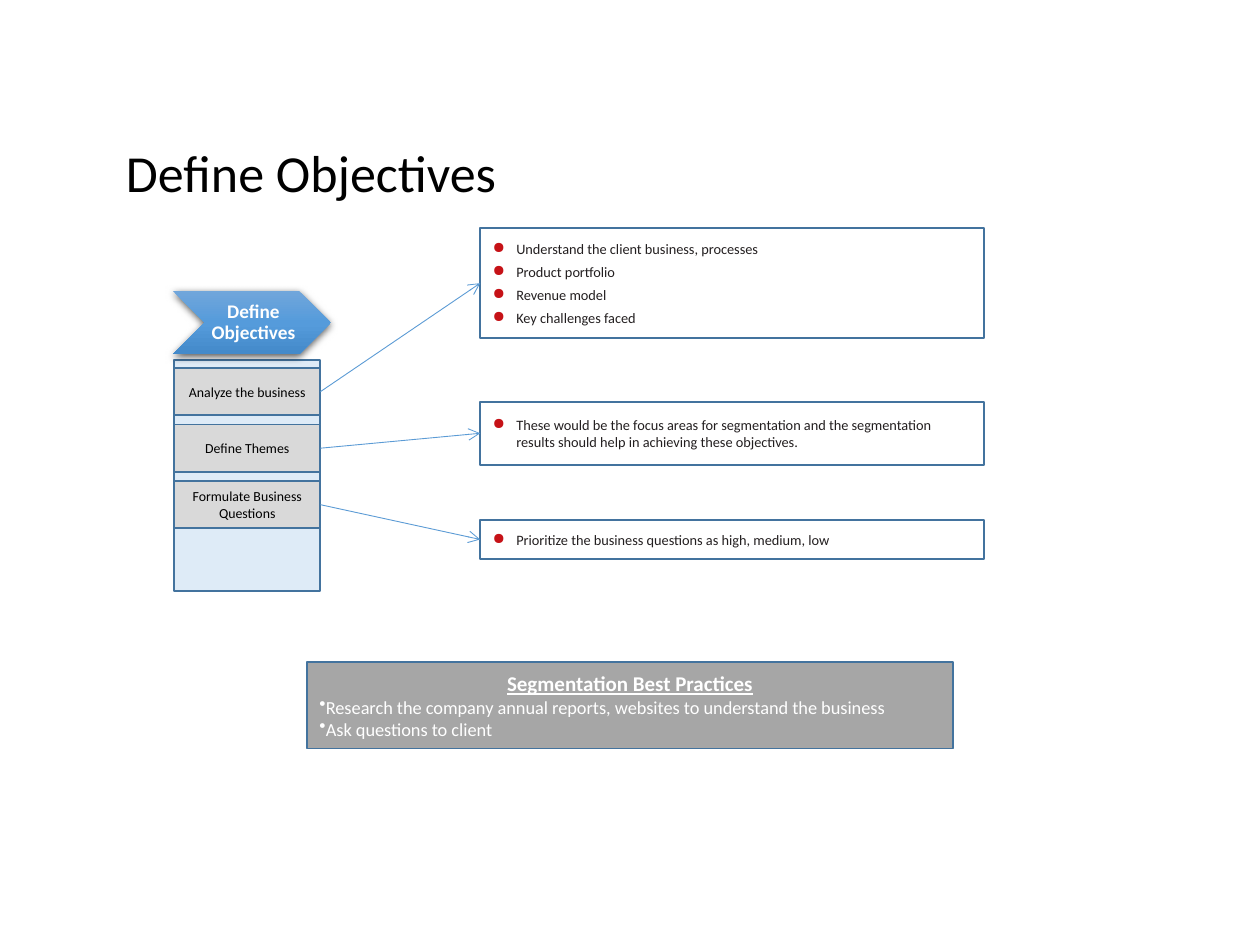
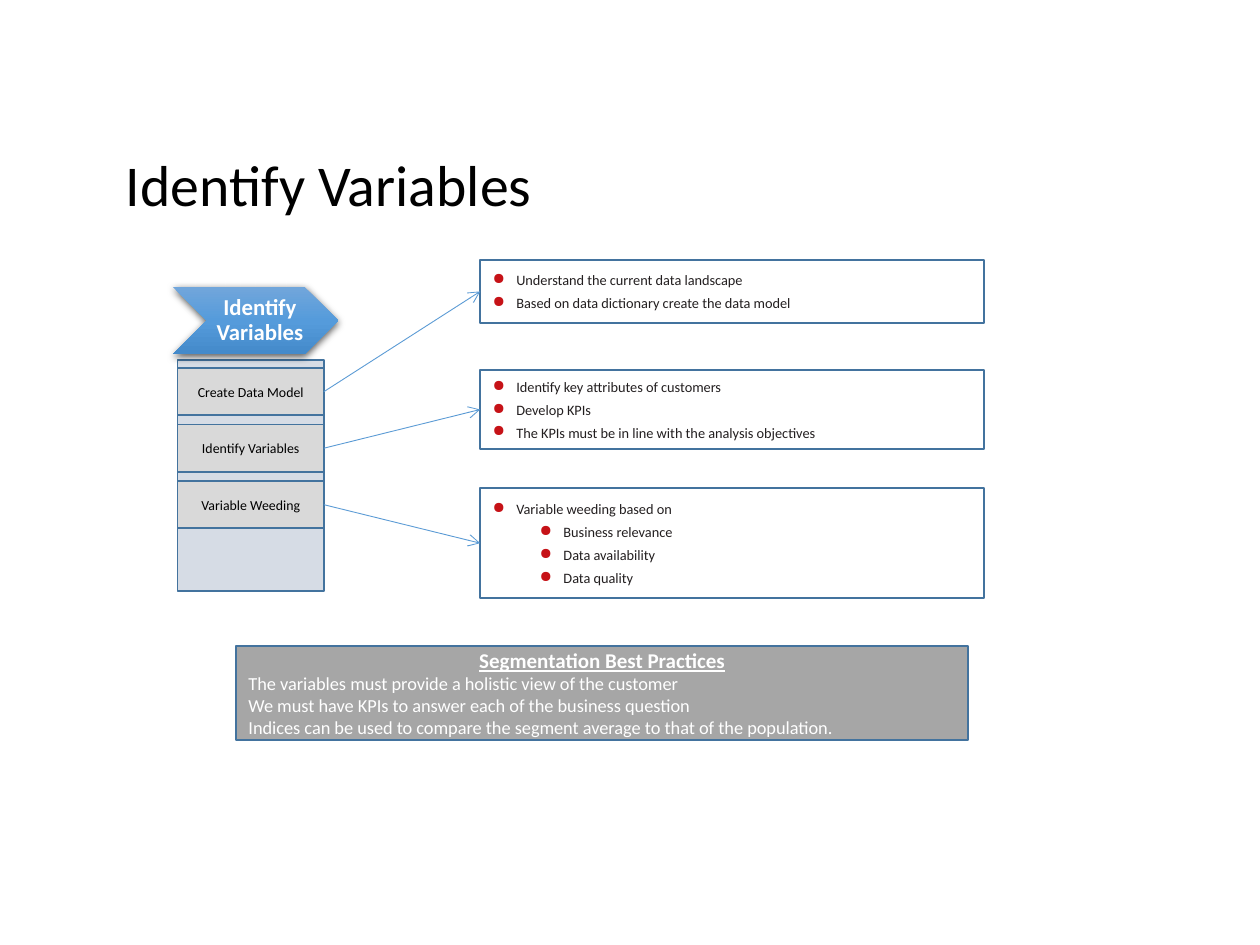
from lxml.etree import SubElement as Sub
from pptx import Presentation
from pptx.dml.color import RGBColor as Rgb
from pptx.enum.shapes import MSO_CONNECTOR as Link, MSO_SHAPE as Kind
from pptx.enum.text import MSO_ANCHOR as Anchor, PP_ALIGN as Align
from pptx.oxml import parse_xml as to_xml
from pptx.oxml.ns import nsdecls, qn
from pptx.util import Cm, Pt

BLACK = Rgb(0x00, 0x00, 0x00)
WHITE = Rgb(0xFF, 0xFF, 0xFF)
INK = Rgb(0x23, 0x1F, 0x20)
RED = Rgb(0xC6, 0x12, 0x17)
EDGE = Rgb(0x43, 0x73, 0x9E)
BLUE = Rgb(0x5B, 0x9B, 0xD5)
PALE = Rgb(0xDE, 0xEB, 0xF7)
MIST = Rgb(0xD6, 0xDC, 0xE5)
LIGHT = Rgb(0xD9, 0xD9, 0xD9)
GREY = Rgb(0xA6, 0xA6, 0xA6)
SHADES = [(0, Rgb(0x71, 0xA6, 0xDB)), (50, Rgb(0x55, 0x9B, 0xDB)),
          (100, Rgb(0x44, 0x8A, 0xCA))]

stops = "".join(f'<a:gs pos="{pos * 1000}"><a:srgbClr val="{tone}"/></a:gs>'
                for pos, tone in SHADES)
BLEND = (f'<a:gradFill {nsdecls("a")} rotWithShape="1"><a:gsLst>{stops}</a:gsLst>'
         '<a:lin ang="5400000" scaled="0"/></a:gradFill>')
SHADOW = (f'<a:effectLst {nsdecls("a")}><a:outerShdw blurRad="57150" dist="19050" '
          'dir="5400000" algn="ctr" rotWithShape="0"><a:srgbClr val="000000">'
          '<a:alpha val="63000"/></a:srgbClr></a:outerShdw></a:effectLst>')

PAGES = [
    dict(title="Define Objectives", size=29.7, high=1.14,
         arrow=(3.49, 5.87, 3.18, 1.27), label=(4.11, 5.87, 1.91, 1.27), bold=11,
         left=3.51, tint=PALE,
         rows=[
             ("Analyze the business", 4.6, 2.22,
              [(0, "Understand the client business, processes"),
               (0, "Product portfolio"),
               (0, "Revenue model"),
               (0, "Key challenges faced")]),
             ("Define Themes", 8.1, 1.27,
              [(0, "These would be the focus areas for segmentation and the "
                   "segmentation results should help in achieving these objectives.")]),
             ("Formulate Business Questions", 10.48, 0.79,
              [(0, "Prioritize the business questions as high, medium, low")]),
         ],
         foot=(6.19, 13.34, 13.02, 1.75), mark="•",
         tips=["Research the company annual reports, websites to understand the business",
               "Ask questions to client"]),
    dict(title="Identify Variables", size=33, high=1.65,
         arrow=(3.49, 5.79, 3.33, 1.35), label=(4.19, 5.79, 2.01, 1.35), bold=13,
         left=3.58, tint=MIST,
         rows=[
             ("Create Data Model", 5.24, 1.27,
              [(0, "Understand the current data landscape"),
               (0, "Based on data dictionary create the data model")]),
             ("Identify Variables", 7.46, 1.59,
              [(0, "Identify key attributes of customers"),
               (0, "Develop KPIs"),
               (0, "The KPIs must be in line with the analysis objectives")]),
             ("Variable Weeding", 9.84, 2.22,
              [(0, "Variable weeding based on"),
               (1, "Business relevance"),
               (1, "Data availability"),
               (1, "Data quality")]),
         ],
         foot=(4.76, 13.02, 14.76, 1.9), mark=None,
         tips=["The variables must provide a holistic view of the customer",
               "We must have KPIs to answer each of the business question",
               "Indices can be used to compare the segment average to that of the population."]),
]


def add_box(page, area, fill=None, kind=Kind.RECTANGLE):
    box = page.shapes.add_shape(kind, *map(Cm, area))
    box.shadow.inherit = False
    if fill is None:
        box.fill.background()
    else:
        box.fill.solid()
        box.fill.fore_color.rgb = fill
    box.line.color.rgb = EDGE
    box.line.width = Pt(1)
    box.text_frame.word_wrap = True
    box.text_frame.vertical_anchor = Anchor.MIDDLE
    return box


def add_text(frame, text, size, tone, align=Align.LEFT, bold=False):
    para = frame.paragraphs[0]
    if para.runs:
        para = frame.add_paragraph()
    para.alignment = align
    run = para.add_run()
    run.text = text
    run.font.name = "Calibri"
    run.font.size = Pt(size)
    run.font.bold = bold
    run.font.color.rgb = tone
    return para


deck = Presentation()
deck.slide_width, deck.slide_height = Cm(25.4), Cm(19.05)

for part in PAGES:
    page = deck.slides.add_slide(deck.slide_layouts[6])

    head = page.shapes.add_textbox(Cm(2.29), Cm(2.97), Cm(20.95), Cm(part["high"])).text_frame
    head.word_wrap = True
    head.vertical_anchor = Anchor.MIDDLE
    add_text(head, part["title"], part["size"], BLACK).line_spacing = 0.9

    add_box(page, (part["left"], 7.26, 2.95, 4.65), part["tint"])

    arrow = page.shapes.add_shape(Kind.CHEVRON, *map(Cm, part["arrow"]))
    arrow.line.fill.background()
    props = arrow.element.spPr
    props.find(qn("a:ln")).addprevious(to_xml(BLEND))
    props.append(to_xml(SHADOW))

    label = page.shapes.add_textbox(*map(Cm, part["label"])).text_frame
    label.word_wrap = True
    label.vertical_anchor = Anchor.MIDDLE
    label.margin_left = Cm(0.14)
    label.margin_right = label.margin_top = label.margin_bottom = Cm(0.05)
    add_text(label, part["title"], part["bold"], WHITE, Align.CENTER, True).line_spacing = 0.9

    for i, (name, top, high, notes) in enumerate(part["rows"]):
        step = add_box(page, (part["left"], 7.42 + i * 1.14, 2.95, 0.95), LIGHT)
        add_text(step.text_frame, name, 7.9, BLACK, Align.CENTER)

        panel = add_box(page, (9.68, top, 10.16, high))
        for j, (level, note) in enumerate(notes):
            para = add_text(panel.text_frame, note, 8.2, INK)
            para.level = level
            if j:
                para.space_before = Pt(3.2)
            props = para._p.get_or_add_pPr()
            props.set("marL", str(Cm(0.48 + level * 0.95)))
            props.set("indent", str(-Cm(0.48)))
            Sub(Sub(props, qn("a:buClr")), qn("a:srgbClr"), val=str(RED))
            Sub(props, qn("a:buSzPct"), val="110000")
            Sub(props, qn("a:buChar"), char="●")

        link = page.shapes.add_connector(Link.STRAIGHT, 0, 0, 0, 0)
        link.begin_connect(step, 3)
        link.end_connect(panel, 1)
        link.line.color.rgb = BLUE
        link.line.width = Pt(0.5)
        Sub(link.line._get_or_add_ln(), qn("a:tailEnd"), type="arrow")
        Sub(link._element.spPr, qn("a:effectLst"))

    foot = add_box(page, part["foot"], GREY).text_frame
    para = add_text(foot, "Segmentation Best Practices", 12, WHITE, Align.CENTER, True)
    para.runs[0].font.underline = True
    for tip in part["tips"]:
        para = add_text(foot, tip, 10.5, WHITE)
        if part["mark"]:
            Sub(para._p.get_or_add_pPr(), qn("a:buChar"), char=part["mark"])

deck.save("out.pptx")
